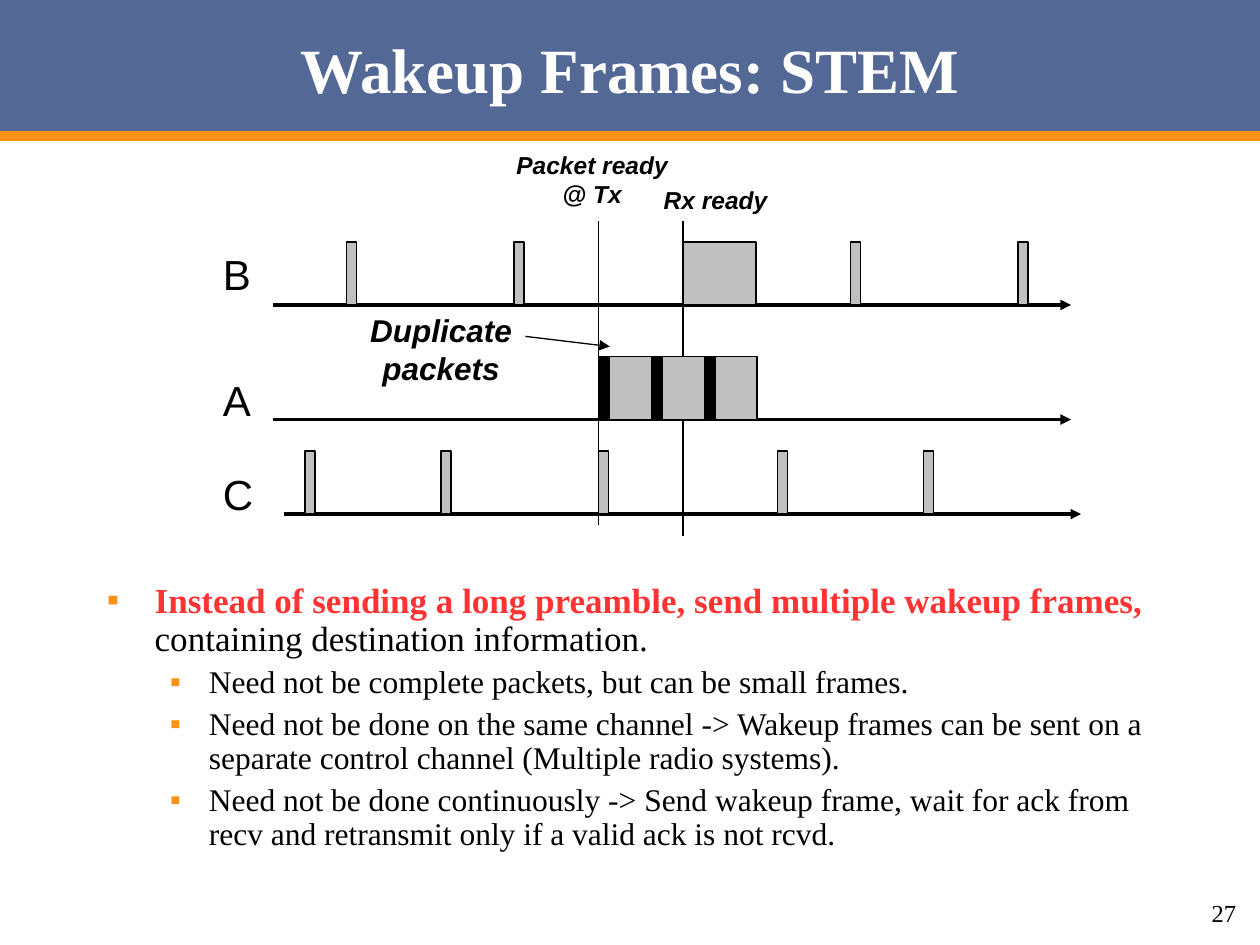
from dataclasses import dataclass

from lxml.etree import SubElement
from pptx import Presentation
from pptx.dml.color import RGBColor as RGB
from pptx.enum.shapes import MSO_CONNECTOR as Connector, MSO_SHAPE as Shape
from pptx.enum.text import (MSO_ANCHOR as Anchor, MSO_AUTO_SIZE as AutoSize,
                            PP_ALIGN as Align)
from pptx.oxml.ns import qn
from pptx.util import Inches, Pt


@dataclass(frozen=True)
class Theme:
    banner: str = "536895"
    accent: str = "FE9118"
    emphasis: str = "FF3333"
    ink: str = "000000"
    paper: str = "FFFFFF"
    slot: str = "C0C0C0"
    serif: str = "Times New Roman"
    sans: str = "Arial"
    title_size: float = 36
    node_size: float = 24
    lead_size: float = 20
    point_size: float = 18
    note_size: float = 14
    thin: float = 0.75
    axis: float = 2
    rule: float = 6


class SlideBuilder:
    def __init__(self, slide, theme):
        self.shapes = slide.shapes
        self.theme = theme

    def block(self, left, top, width, height, fill, outline=None):
        box = self.shapes.add_shape(Shape.RECTANGLE, Inches(left), Inches(top),
                                    Inches(width), Inches(height))
        box.shadow.inherit = False
        box.fill.solid()
        box.fill.fore_color.rgb = RGB.from_string(fill)
        if outline:
            box.line.color.rgb = RGB.from_string(outline)
            box.line.width = Pt(self.theme.thin)
        else:
            box.line.fill.background()

    def line(self, start, end, weight, color=None, arrow=False):
        link = self.shapes.add_connector(Connector.STRAIGHT,
                                         *map(Inches, start + end))
        link.line.color.rgb = RGB.from_string(color or self.theme.ink)
        link.line.width = Pt(weight)
        if arrow:
            SubElement(link.line._get_or_add_ln(), qn("a:tailEnd"), type="triangle")
        SubElement(link._element.spPr, qn("a:effectLst"))

    def frame(self, left, top, width, height, wrap=False):
        box = self.shapes.add_textbox(Inches(left), Inches(top),
                                      Inches(width), Inches(height))
        box.text_frame.word_wrap = wrap
        if not wrap:
            box.text_frame.auto_size = AutoSize.SHAPE_TO_FIT_TEXT
        return box.text_frame

    def style(self, paragraph, size, font, color=None, bold=False, italic=False):
        paragraph.font.size = Pt(size)
        paragraph.font.name = font
        paragraph.font.bold = bold
        paragraph.font.italic = italic
        paragraph.font.color.rgb = RGB.from_string(color or self.theme.ink)

    def text(self, area, lines, size, font, align=Align.LEFT, wrap=False,
             anchor=Anchor.TOP, **look):
        frame = self.frame(*area, wrap=wrap)
        frame.vertical_anchor = anchor
        for i, words in enumerate(lines):
            paragraph = frame.add_paragraph() if i else frame.paragraphs[0]
            paragraph.text = words
            paragraph.alignment = align
            self.style(paragraph, size, font, **look)

    def bullet(self, paragraph, level, size, indent, hanging, before):
        paragraph.level = level
        paragraph.line_spacing = 0.9
        paragraph.space_before = Pt(before)
        props = paragraph._p.get_or_add_pPr()
        props.set("marL", str(Inches(indent)))
        props.set("indent", str(-Inches(hanging)))
        SubElement(SubElement(props, qn("a:buClr")), qn("a:srgbClr"),
                   val=self.theme.accent)
        SubElement(props, qn("a:buFont"), typeface=self.theme.serif)
        SubElement(props, qn("a:buChar"), char="▪")
        self.style(paragraph, size, self.theme.serif)

    def bullets(self, area, lead, rest, points):
        frame = self.frame(*area, wrap=True)
        opening = frame.paragraphs[0]
        self.bullet(opening, 0, self.theme.lead_size, 0.38, 0.38, 0)
        for words, color, bold in ((lead, self.theme.emphasis, True),
                                   (rest, self.theme.ink, False)):
            run = opening.add_run()
            run.text = words
            run.font.bold = bold
            run.font.color.rgb = RGB.from_string(color)
        for words in points:
            point = frame.add_paragraph()
            point.text = words
            self.bullet(point, 1, self.theme.point_size, 0.81, 0.31, 4.5)

    def timeline(self, node, label_top, start, axis_y):
        self.line((start, axis_y), (start + 6.33, axis_y), self.theme.axis, arrow=True)
        self.text((1.67, label_top, 0.43, 0.5), [node],
                  self.theme.node_size, self.theme.sans)

    def slots(self, lefts, axis_y, width, fill):
        for left in lefts:
            self.block(left, axis_y - SLOT_HEIGHT, width, SLOT_HEIGHT,
                       fill, self.theme.ink)


SLOT_HEIGHT = 0.5
WAKE_WIDTH = 0.08
TX_READY, RX_READY = 4.75, 5.42
B_AXIS, A_AXIS, C_AXIS = 2.42, 3.33, 4.08


def main():
    deck = Presentation()
    deck.slide_width, deck.slide_height = Inches(10), Inches(7.5)
    theme = Theme()
    page = SlideBuilder(deck.slides.add_slide(deck.slide_layouts[6]), theme)

    # Title banner
    page.block(0, 0, 10, 1.08, theme.banner)
    page.line((0, 1.08), (10, 1.08), theme.rule, theme.accent)
    page.text((0.5, 0, 9, 1.08), ["Wakeup Frames: STEM"], theme.title_size,
              theme.serif, Align.CENTER, wrap=True, anchor=Anchor.MIDDLE,
              color=theme.paper, bold=True)

    # Bulleted explanation
    page.bullets(
        (0.75, 4.58, 8.5, 2.67),
        "Instead of sending a long preamble, send multiple wakeup frames,",
        " containing destination information.",
        ["Need not be complete packets, but can be small frames.",
         "Need not be done on the same channel -> Wakeup frames can be sent on a "
         "separate control channel (Multiple radio systems).",
         "Need not be done continuously -> Send wakeup frame, wait for ack from "
         "recv and retransmit only if a valid ack is not rcvd."])

    # Moments when sender and receiver are ready
    page.line((TX_READY, 1.75), (TX_READY, 4.17), theme.thin)
    page.line((RX_READY, 1.75), (RX_READY, 4.25), theme.thin)
    for area, lines, size in (
            ((4, 1.14, 1.4, 0.57), ["Packet ready", "@ Tx"], theme.note_size),
            ((5.13, 1.42, 1.1, 0.34), ["Rx ready"], theme.note_size),
            ((2.79, 2.42, 1.42, 0.7), ["Duplicate", "packets"], theme.point_size)):
        page.text(area, lines, size, theme.sans, Align.CENTER, bold=True, italic=True)

    # Node B: periodic wakeups, with a long one once the receiver is ready
    page.timeline("B", 1.92, 2.17, B_AXIS)
    page.slots([2.75, 4.08, 6.75, 8.08], B_AXIS, WAKE_WIDTH, theme.slot)
    page.slots([RX_READY], B_AXIS, 0.58, theme.slot)

    # Node A: duplicate packets, each followed by a listening gap
    page.timeline("A", 2.92, 2.17, A_AXIS)
    packets = [4.76 + 0.42 * i for i in range(3)]
    page.slots(packets, A_AXIS, WAKE_WIDTH, theme.ink)
    page.slots([left + WAKE_WIDTH for left in packets], A_AXIS, 0.33, theme.slot)
    page.line((4.17, 2.67), (4.84, 2.75), theme.thin, arrow=True)

    # Node C: periodic wakeups only
    page.timeline("C", 3.67, 2.25, C_AXIS)
    page.slots([2.42, 3.5, TX_READY, 6.17, 7.33], C_AXIS, WAKE_WIDTH, theme.slot)

    # Page number
    page.text((7.83, 7.08, 2.08, 0.33), ["27"], theme.note_size, theme.serif,
              Align.RIGHT, wrap=True)

    deck.save("out.pptx")


if __name__ == "__main__":
    main()
